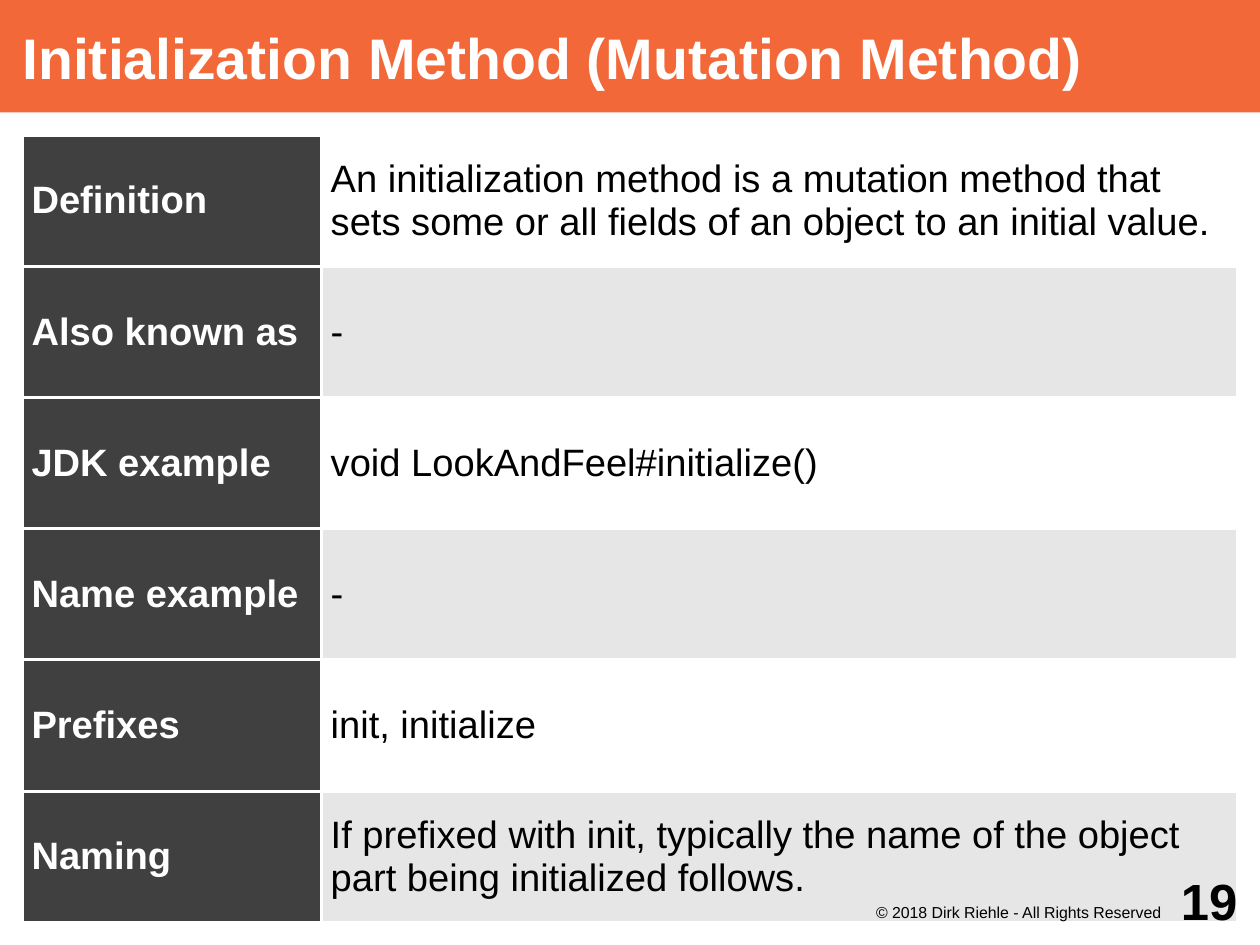
import pptx
import pptx.dml.color
import pptx.enum.shapes
import pptx.enum.text
import pptx.oxml.ns
import pptx.util
from lxml import etree

Pt = pptx.util.Pt
ALIGN = pptx.enum.text.PP_ALIGN
ANCHOR = pptx.enum.text.MSO_ANCHOR

# The layout follows a metric grid: all lengths are centimetres
WIDE, HIGH = 28, 21
WHITE, BLACK, ORANGE = "FFFFFF", "000000", "F36838"
DARK, GRAY = "404040", "E6E6E6"

ROWS = [
    ("Definition", "An initialization method is a mutation method that "
                   "sets some or all fields of an object to an initial value."),
    ("Also known as", "-"),
    ("JDK example", "void LookAndFeel#initialize()"),
    ("Name example", "-"),
    ("Prefixes", "init, initialize"),
    ("Naming", "If prefixed with init, typically the name of the object "
               "part being initialized follows."),
]


def span(metric):
    return pptx.util.Inches(metric / 2.54)


def color(code):
    return pptx.dml.color.RGBColor.from_string(code)


def paint(part, code):
    part.fill.solid()
    part.fill.fore_color.rgb = color(code)


def pad(part, left, top, right, bottom):
    part.margin_left, part.margin_top = span(left), span(top)
    part.margin_right, part.margin_bottom = span(right), span(bottom)


def write(frame, text, size, code, bold=False, align=ALIGN.LEFT):
    para = frame.paragraphs[0]
    para.text = text
    para.alignment = align
    font = para.font
    font.name, font.size, font.bold = "Arial", Pt(size), bold
    font.color.rgb = color(code)


def border(cell, code, width):
    props = cell._tc.get_or_add_tcPr()
    for side in ("lnL", "lnR", "lnT", "lnB"):
        line = etree.SubElement(props, pptx.oxml.ns.qn("a:" + side), w=str(Pt(width)))
        fill = etree.SubElement(line, pptx.oxml.ns.qn("a:solidFill"))
        etree.SubElement(fill, pptx.oxml.ns.qn("a:srgbClr"), val=code)


# Title band
def add_title(slide, text, *box):
    band = slide.shapes.add_shape(
        pptx.enum.shapes.MSO_SHAPE.RECTANGLE, *map(span, box))
    band.shadow.inherit = False
    band.line.fill.background()
    paint(band, ORANGE)
    frame = band.text_frame
    frame.word_wrap = True
    frame.vertical_anchor = ANCHOR.MIDDLE
    pad(frame, 0.5, 0, 0, 0)
    write(frame, text, 36, WHITE, True)


# Table with dark labels and striped values
def add_grid(slide, rows, left, top, width, height, first=6.65):
    table = slide.shapes.add_table(
        len(rows), 2, span(left), span(top), span(width), span(height)).table
    table.columns[0].width = span(first)
    table.columns[1].width = span(width - first)
    for i, texts in enumerate(rows):
        table.rows[i].height = span(height / len(rows))
        stripe = GRAY if i % 2 else WHITE
        looks = ((DARK, WHITE, True), (stripe, BLACK, False))
        for j, (back, ink, bold) in enumerate(looks):
            cell = table.cell(i, j)
            border(cell, WHITE, 2.27)
            paint(cell, back)
            cell.vertical_anchor = ANCHOR.MIDDLE
            pad(cell, 0.2, 0.13, 0.2, 0.13)
            write(cell.text_frame, texts[j], 24, ink, bold)


def add_note(slide, text, box, pads, size, bold, anchor):
    note = slide.shapes.add_textbox(*map(span, box))
    frame = note.text_frame
    frame.word_wrap = False
    frame.vertical_anchor = anchor
    pad(frame, *pads)
    write(frame, text, size, BLACK, bold, ALIGN.RIGHT)


# Copyright line and page number, set from the lower right corner
def add_footer(slide, right, bottom):
    add_note(slide, "© 2018 Dirk Riehle - All Rights Reserved",
             (right - 10, bottom - 1, 8, 1),
             (0, 0.05, 0.2, 0), 10, False, ANCHOR.TOP)
    add_note(slide, "19", (right - 2.5, bottom - 2, 2.5, 2),
             (0, 0, 0.5, 0), 32, True, ANCHOR.MIDDLE)


def main():
    deck = pptx.Presentation()
    deck.slide_width, deck.slide_height = span(WIDE), span(HIGH)
    slide = deck.slides.add_slide(deck.slide_layouts[6])
    add_title(slide, "Initialization Method (Mutation Method)", 0, 0, WIDE, 2.5)
    add_grid(slide, ROWS, 0.5, 3, WIDE - 1, 17.5)
    add_footer(slide, WIDE, HIGH)
    deck.save("out.pptx")


if __name__ == "__main__":
    main()
